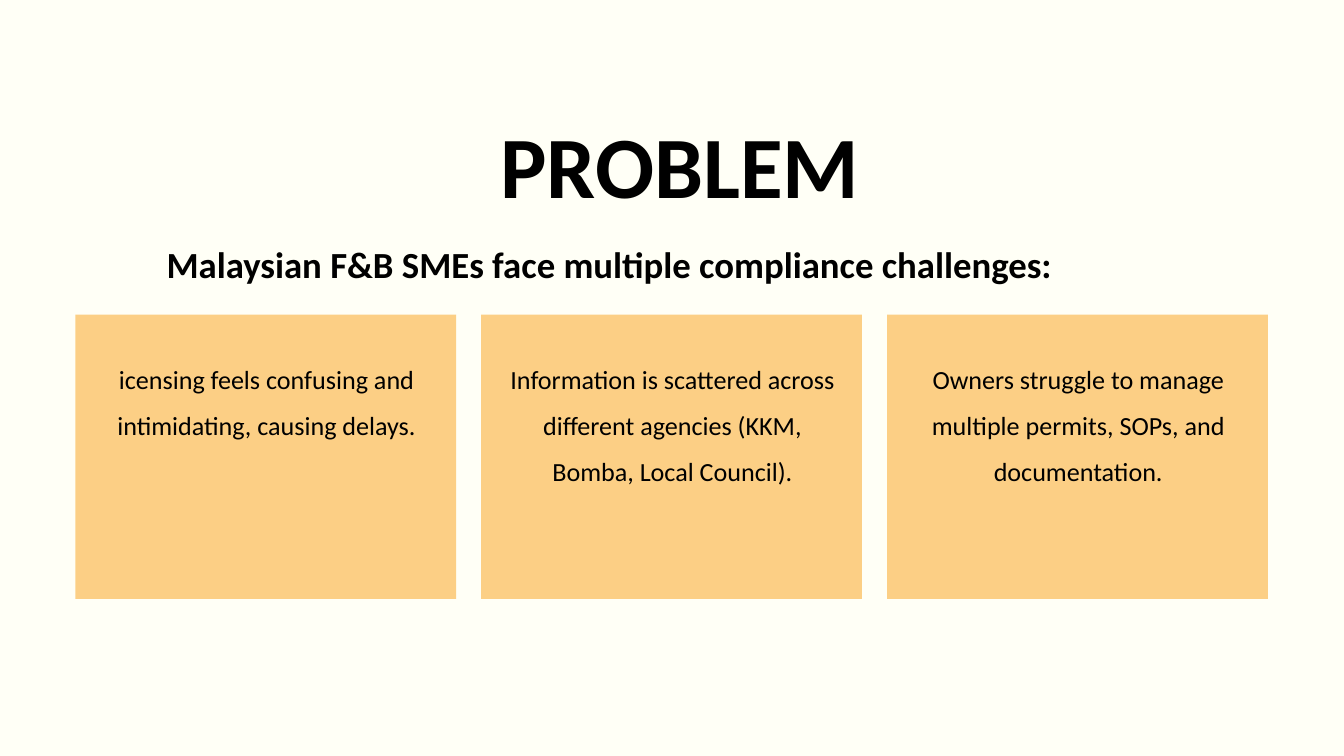
import pptx
import pptx.dml.color
import pptx.enum.shapes
import pptx.enum.text
import pptx.oxml.ns
import pptx.util
from lxml import etree

Pt = pptx.util.Pt
RGBColor = pptx.dml.color.RGBColor

CREAM = RGBColor(0xFF, 0xFF, 0xF6)
AMBER = RGBColor(0xFB, 0xB0, 0x3B)
BLACK = RGBColor(0x00, 0x00, 0x00)

CHALLENGES = [
    "icensing feels confusing and intimidating, causing delays.",
    "Information is scattered across different agencies (KKM, Bomba, Local Council).",
    "Owners struggle to manage multiple permits, SOPs, and documentation.",
]
CARD_LEFT, CARD_TOP = 80.64, 337
CARD_WIDTH, CARD_HEIGHT = 408, 304.6
CARD_PITCH = 434.88
TEXT_INSET, TEXT_TOP, TEXT_WIDTH = 30.2, 373.7, 349.2


class SlideBuilder:
    font_name = "Calibri"

    def __init__(self, slide):
        self.slide = slide
        slide.background.fill.solid()
        slide.background.fill.fore_color.rgb = CREAM

    def set_text(self, shape, text, size, spacing, bold):
        frame = shape.text_frame
        frame.word_wrap = True
        frame.auto_size = pptx.enum.text.MSO_AUTO_SIZE.NONE
        frame.vertical_anchor = pptx.enum.text.MSO_ANCHOR.TOP
        frame.margin_left = frame.margin_right = 0
        frame.margin_top = frame.margin_bottom = 0
        paragraph = frame.paragraphs[0]
        paragraph.alignment = pptx.enum.text.PP_ALIGN.CENTER
        paragraph.line_spacing = Pt(spacing)
        paragraph.space_before = Pt(0)
        run = paragraph.add_run()
        run.text = text
        run.font.name = self.font_name
        run.font.size = Pt(size)
        run.font.bold = bold
        run.font.color.rgb = BLACK

    def title(self, text, left, top, width, height, size, spacing):
        heading = self.slide.shapes.title
        heading.left, heading.top = Pt(left), Pt(top)
        heading.width, heading.height = Pt(width), Pt(height)
        self.set_text(heading, text, size, spacing, True)

    def text(self, text, left, top, width, height, size, spacing, bold=False):
        box = self.slide.shapes.add_textbox(Pt(left), Pt(top), Pt(width), Pt(height))
        self.set_text(box, text, size, spacing, bold)

    def card(self, left, top, width, height, opacity):
        panel = self.slide.shapes.add_shape(
            pptx.enum.shapes.MSO_SHAPE.RECTANGLE,
            Pt(left), Pt(top), Pt(width), Pt(height))
        panel.shadow.inherit = False
        panel.line.fill.background()
        panel.fill.solid()
        panel.fill.fore_color.rgb = AMBER
        qn = pptx.oxml.ns.qn
        color = panel._element.spPr.find(qn("a:solidFill")).find(qn("a:srgbClr"))
        etree.SubElement(color, qn("a:alpha")).set("val", str(opacity * 1000))


def main():
    deck = pptx.Presentation()
    deck.slide_width, deck.slide_height = Pt(1440), Pt(810)
    builder = SlideBuilder(deck.slides.add_slide(deck.slide_layouts[5]))

    builder.title("PROBLEM", 459.4, 100, 537.8, 126.7, 93.7, 131.1)
    builder.text("Malaysian F&B SMEs face multiple compliance challenges:",
                 CARD_LEFT, 251.3, 1144, 53.3, 39.4, 55.2, bold=True)
    for column, challenge in enumerate(CHALLENGES):
        left = CARD_LEFT + column * CARD_PITCH
        builder.card(left, CARD_TOP, CARD_WIDTH, CARD_HEIGHT, 60)
        builder.text(challenge, left + TEXT_INSET, TEXT_TOP, TEXT_WIDTH, 191.5, 28, 49.3)

    deck.save("out.pptx")


if __name__ == "__main__":
    main()
